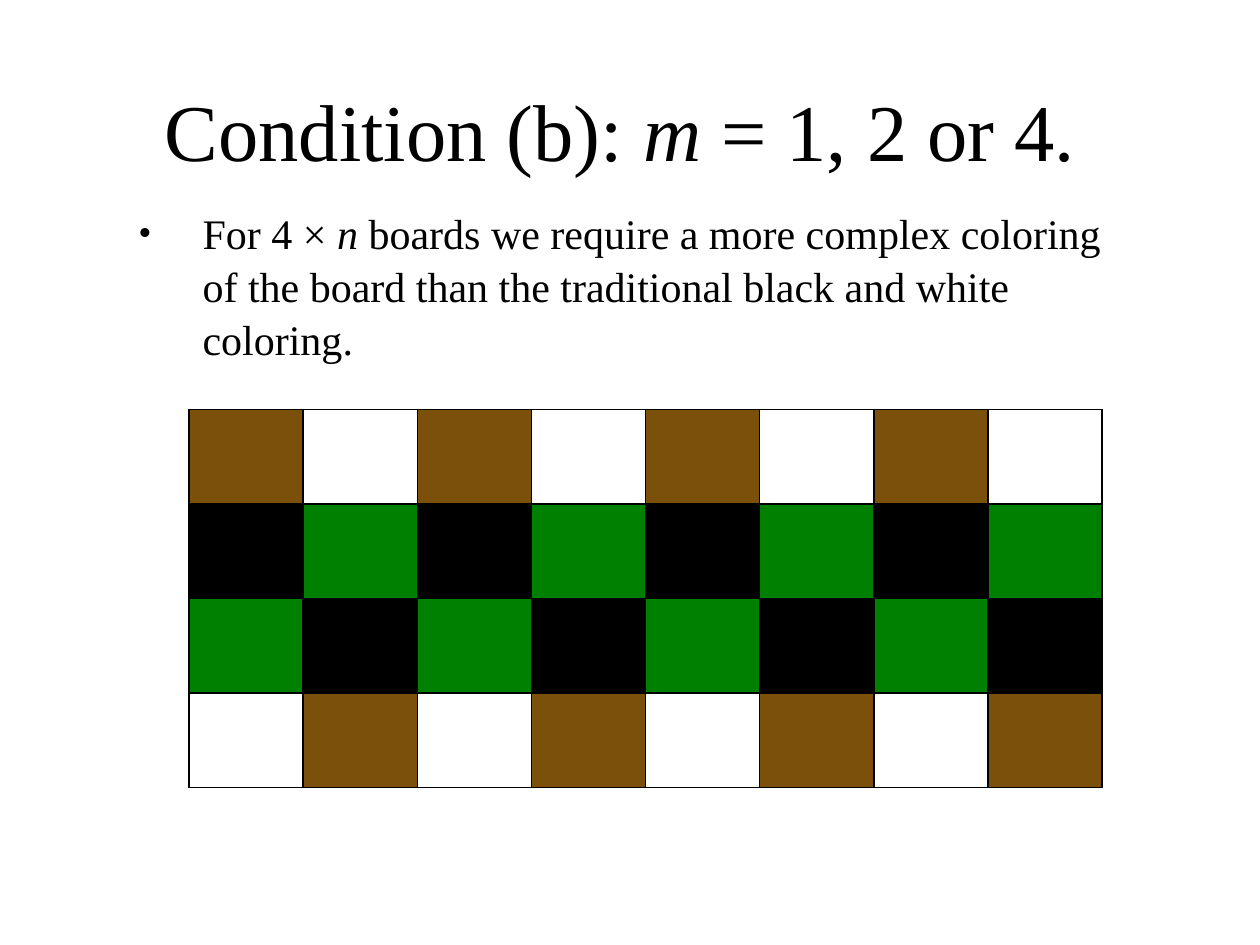
from lxml import etree
from pptx import Presentation
from pptx.dml.color import RGBColor
from pptx.enum import text
from pptx.oxml import ns
from pptx import util as u

COLORS = {"ink": "000000", "brown": "7A500A", "white": "FFFFFF",
          "black": "000000", "green": "008000"}
FONT = "Times New Roman"
COLUMNS, ROWS = 8, 4
ROW_PAIRS = [("brown", "white"), ("black", "green"),
             ("green", "black"), ("white", "brown")]


def color(name):
    return RGBColor.from_string(COLORS[name])


def add_child(parent, tag, **attributes):
    return etree.SubElement(parent, ns.qn(tag), attributes)


def add_text(slide, box, runs, size, align=text.PP_ALIGN.LEFT,
             anchor=text.MSO_ANCHOR.TOP, line_spacing=1.0, bullet=None, indent=0):
    frame = slide.shapes.add_textbox(*map(u.Inches, box)).text_frame
    frame.word_wrap = True
    frame.vertical_anchor = anchor
    paragraph = frame.paragraphs[0]
    paragraph.alignment = align
    paragraph.line_spacing = line_spacing
    for words, italic in runs:
        run = paragraph.add_run()
        run.text = words
        run.font.name = FONT
        run.font.size = u.Pt(size)
        run.font.italic = italic
        run.font.color.rgb = color("ink")
    if bullet:
        properties = paragraph._p.get_or_add_pPr()
        properties.set("marL", str(u.Inches(indent)))
        properties.set("indent", str(-u.Inches(indent)))
        add_child(properties, "a:buSzPct", val="90000")
        add_child(properties, "a:buFont", typeface=FONT)
        add_child(properties, "a:buChar", char=bullet)


def add_border(cell, width):
    properties = cell._tc.get_or_add_tcPr()
    for side in ("a:lnL", "a:lnR", "a:lnT", "a:lnB"):
        line = add_child(properties, side, w=str(u.Pt(width)))
        add_child(add_child(line, "a:solidFill"), "a:srgbClr", val=COLORS["ink"])


def add_board(slide, box):
    table = slide.shapes.add_table(ROWS, COLUMNS, *map(u.Inches, box)).table
    table.first_row = False
    table.horz_banding = False
    for row, pair in enumerate(ROW_PAIRS):
        for column in range(COLUMNS):
            cell = table.cell(row, column)
            add_border(cell, 1)
            cell.fill.solid()
            cell.fill.fore_color.rgb = color(pair[column % 2])


def main():
    presentation = Presentation()
    presentation.slide_width = u.Inches(10)
    presentation.slide_height = u.Inches(7.5)
    slide = presentation.slides.add_slide(presentation.slide_layouts[6])
    add_text(slide, (1, 0.55, 8, 0.95),
             [("Condition (b): ", False), ("m ", True), ("= 1, 2 or 4. ", False)],
             size=46, align=text.PP_ALIGN.CENTER, anchor=text.MSO_ANCHOR.MIDDLE)
    add_text(slide, (1, 1.58, 8, 1.83),
             [("For 4 × ", False), ("n", True),
              (" boards we require a more complex coloring of the board than "
               "the traditional black and white coloring.", False)],
             size=24, line_spacing=1.05, bullet="•", indent=0.51)
    add_board(slide, (1.5, 3.25, 7.25, 3))
    presentation.save("out.pptx")


if __name__ == "__main__":
    main()
